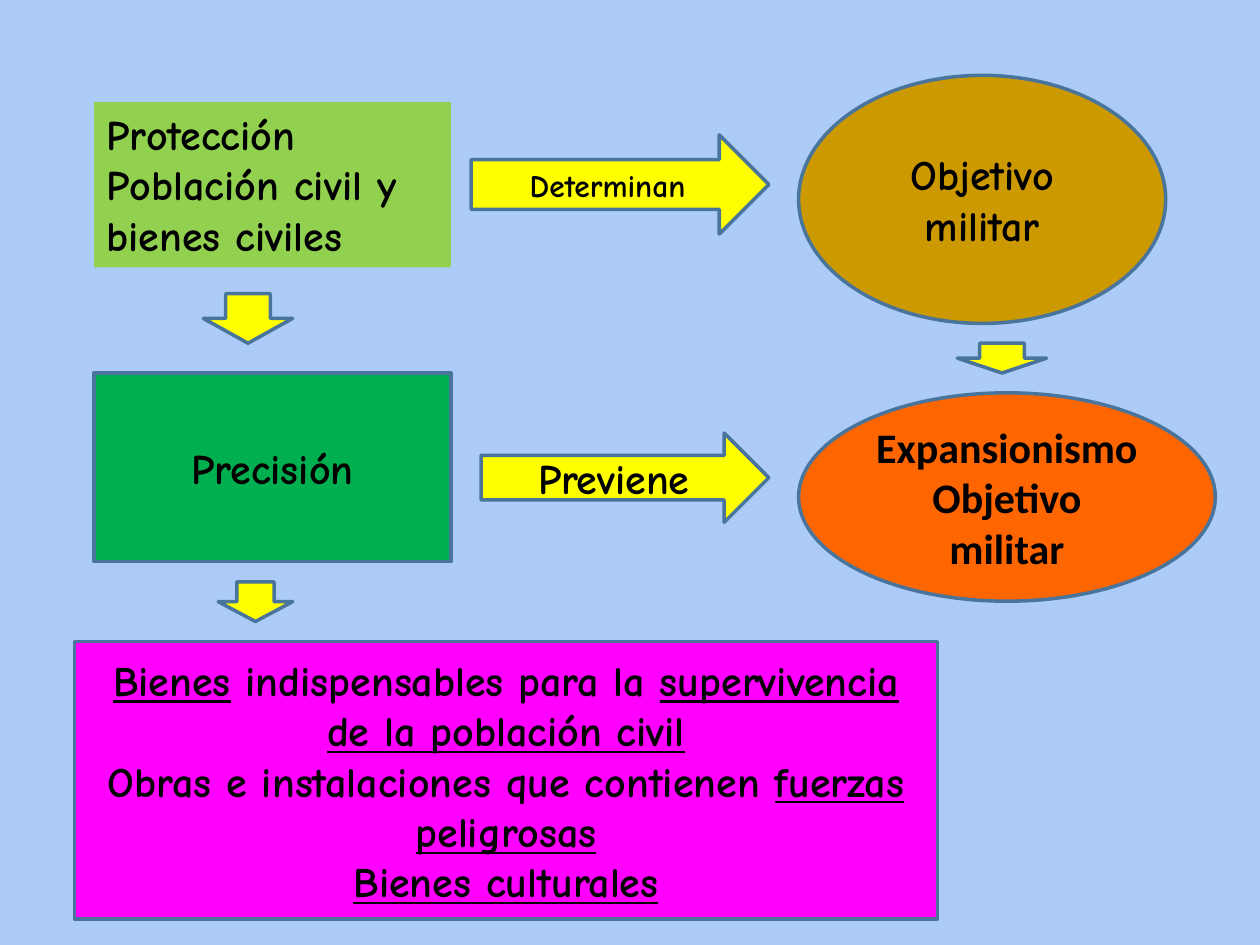
from pptx import Presentation
from pptx.dml.color import RGBColor
from pptx.enum.shapes import MSO_SHAPE
from pptx.enum.text import MSO_ANCHOR, MSO_AUTO_SIZE, PP_ALIGN
from pptx.util import Cm, Pt

COLORS = {
    "background": "ACCBF9",
    "outline": "49749B",
    "text": "000000",
    "arrow": "FFFF00",
    "protection": "92D050",
    "objective": "CC9900",
    "precision": "00B050",
    "expansionism": "FF6600",
    "goods": "FF00FF",
}
HAND_FONT = "Comic Neue"
LEFT_COLUMN, RIGHT_COLUMN, BOX_WIDTH = 1.9, 16.1, 7.19


def color(name):
    return RGBColor.from_string(COLORS[name])


def paint(shape, fill):
    shape.fill.solid()
    shape.fill.fore_color.rgb = color(fill)


def write(shape, paragraphs, alignment=PP_ALIGN.CENTER, size=24, font=HAND_FONT):
    """Fill the shape with paragraphs, each a list of (text, underlined) runs."""
    frame = shape.text_frame
    frame.word_wrap = True
    font_format = {"name": font, "size": Pt(size), "bold": True}
    for index, runs in enumerate(paragraphs):
        paragraph = frame.paragraphs[0] if index == 0 else frame.add_paragraph()
        paragraph.alignment = alignment
        for text, underlined in runs:
            run = paragraph.add_run()
            run.text = text
            for attribute, value in font_format.items():
                setattr(run.font, attribute, value)
            if underlined:
                run.font.underline = True
            run.font.color.rgb = color("text")


def plain(*lines):
    return [[(line, False)] for line in lines]


def add_text_panel(slide, position, fill, paragraphs):
    panel = slide.shapes.add_textbox(*map(Cm, position))
    paint(panel, fill)
    write(panel, paragraphs, PP_ALIGN.LEFT)
    panel.text_frame.auto_size = MSO_AUTO_SIZE.SHAPE_TO_FIT_TEXT


def add_outlined(slide, kind, position, fill, paragraphs=(), **text_format):
    shape = slide.shapes.add_shape(kind, *map(Cm, position))
    shape.shadow.inherit = False
    paint(shape, fill)
    shape.line.color.rgb = color("outline")
    shape.line.width = Pt(2)
    shape.text_frame.vertical_anchor = MSO_ANCHOR.MIDDLE
    write(shape, paragraphs, **text_format)


def add_right_arrow(slide, position, label, size):
    add_outlined(slide, MSO_SHAPE.RIGHT_ARROW, position, "arrow", plain(label), size=size)


def add_down_arrow(slide, position):
    add_outlined(slide, MSO_SHAPE.DOWN_ARROW, position, "arrow")


def main():
    presentation = Presentation()
    presentation.slide_width, presentation.slide_height = Cm(25.4), Cm(19.05)
    slide = presentation.slides.add_slide(presentation.slide_layouts[6])
    paint(slide.background, "background")

    add_text_panel(slide, (LEFT_COLUMN, 2.06, BOX_WIDTH, 3.33), "protection",
                   plain("Protección", "Población civil y bienes civiles"))
    add_right_arrow(slide, (9.5, 2.72, 6, 2), "Determinan", 18)
    add_outlined(slide, MSO_SHAPE.OVAL, (RIGHT_COLUMN, 1.52, 7.4, 5), "objective",
                 plain("Objetivo militar"))
    add_outlined(slide, MSO_SHAPE.RECTANGLE, (LEFT_COLUMN, 7.52, BOX_WIDTH, 3.8),
                 "precision", plain("Precisión"))
    add_right_arrow(slide, (9.7, 8.73, 5.8, 1.8), "Previene", 24)
    add_outlined(slide, MSO_SHAPE.OVAL, (RIGHT_COLUMN, 7.92, 8.4, 4.2), "expansionism",
                 plain("Expansionismo", "Objetivo militar"), font="Calibri")
    add_down_arrow(slide, (4.1, 5.92, 1.8, 1))
    add_down_arrow(slide, (19.3, 6.92, 1.8, 0.6))
    add_outlined(slide, MSO_SHAPE.RECTANGLE, (1.5, 12.93, 17.4, 5.6), "goods", [
        [("Bienes", True), (" indispensables para la ", False),
         ("supervivencia de la población civil", True)],
        [("Obras e instalaciones que contienen ", False), ("fuerzas peligrosas", True)],
        [("Bienes culturales", True)],
    ])
    add_down_arrow(slide, (4.4, 11.73, 1.5, 0.8))

    presentation.save("out.pptx")


if __name__ == "__main__":
    main()
